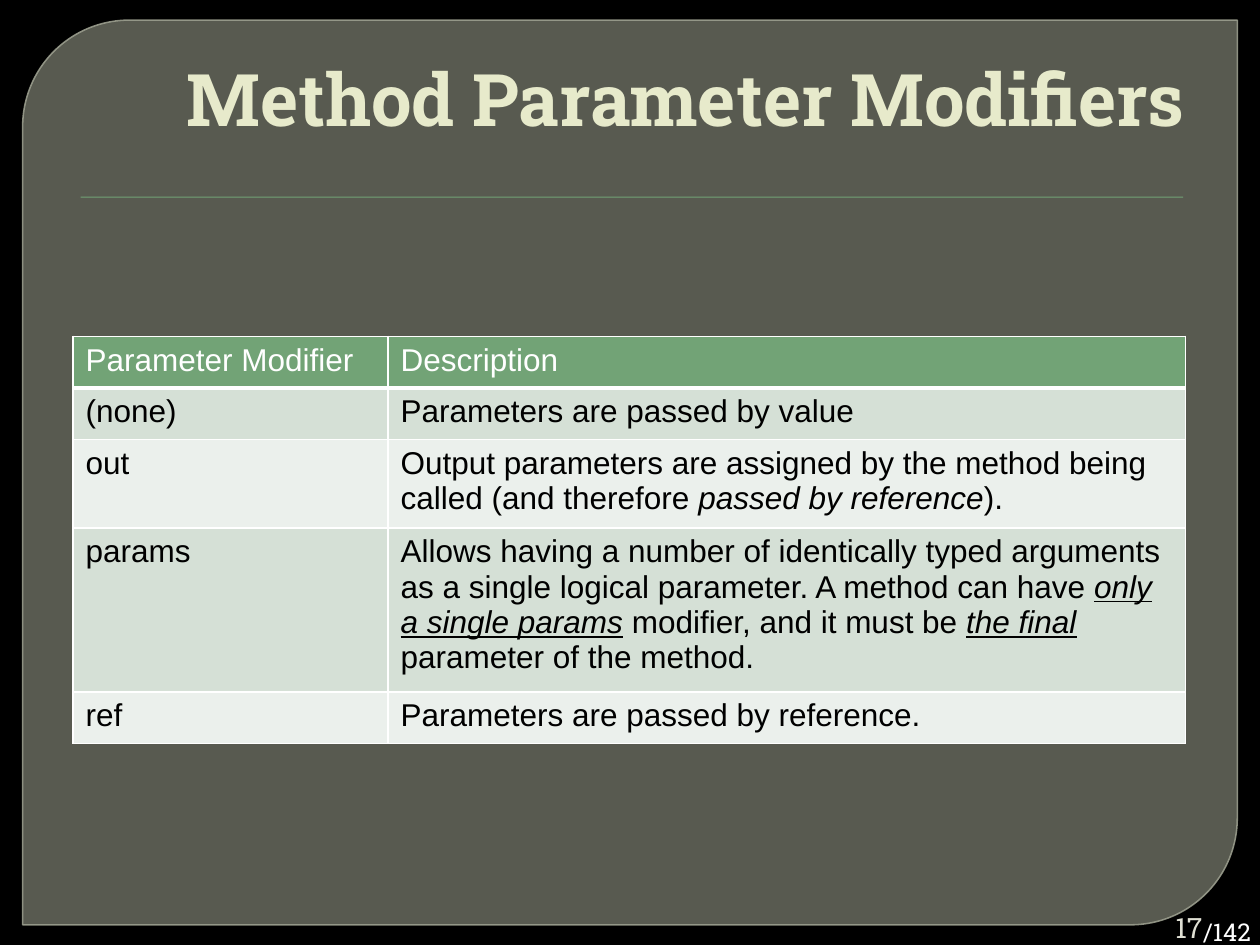
from lxml.etree import SubElement
from pptx import Presentation
from pptx.dml.color import RGBColor
from pptx.enum.shapes import MSO_SHAPE
from pptx.enum.text import MSO_ANCHOR, PP_ALIGN
from pptx.oxml.ns import qn
from pptx.util import Inches, Pt

SLAB = "Roboto Slab"
HEADER_FILL = "72A376"
BAND_FILLS = ["D5E0D6", "EBF0EC"]
COLUMN_WIDTHS = [2.5, 6.33]
ROW_HEIGHT = 0.41
ROWS = [
    ("Parameter Modifier", [("Description", "")]),
    ("(none)", [("Parameters are passed by value", "")]),
    ("out", [
        ("Output parameters are assigned by the method being called (and therefore ", ""),
        ("passed by reference", "i"),
        (").", ""),
    ]),
    ("params", [
        ("Allows having a number of identically typed arguments as a single logical "
         "parameter. A method can have ", ""),
        ("only a single params", "iu"),
        (" modifier, and it must be ", ""),
        ("the final ", "iu"),
        ("parameter of the method.", ""),
    ]),
    ("ref", [("Parameters are passed by reference.", "")]),
]


def color(value):
    return RGBColor.from_string(value)


def add_span(para, text, size=18, font="Arial", fill="000000", bold=False, style=""):
    span = para.add_run()
    span.text = text
    span.font.size = Pt(size)
    span.font.name = font
    span.font.color.rgb = color(fill)
    span.font.bold = bold
    span.font.italic = "i" in style
    span.font.underline = "u" in style


def add_text(page, text, place, align=PP_ALIGN.LEFT, anchor=MSO_ANCHOR.TOP, wrap=True, **format):
    box = page.shapes.add_textbox(*map(Inches, place))
    frame = box.text_frame
    frame.word_wrap = wrap
    frame.vertical_anchor = anchor
    para = frame.paragraphs[0]
    para.alignment = align
    add_span(para, text, **format)


def set_alpha(fill_parent, percent):
    tone = fill_parent.find(qn("a:solidFill")).find(qn("a:srgbClr"))
    SubElement(tone, qn("a:alpha"), val=str(percent * 1000))


def add_panel(page):
    panel = page.shapes.add_shape(
        MSO_SHAPE.ROUND_2_DIAG_RECTANGLE, *map(Inches, (0.18, 0.16, 9.64, 7.18)))
    panel.adjustments[0] = 0.118
    panel.adjustments[1] = 0
    panel.shadow.inherit = False
    panel.fill.solid()
    panel.fill.fore_color.rgb = color("888B7B")
    panel.line.color.rgb = color("9DA090")
    panel.line.width = Pt(0.87)
    properties = panel.element.spPr
    set_alpha(properties, 65)
    set_alpha(properties.find(qn("a:ln")), 88)


def add_rule(page):
    rule = page.shapes.add_shape(MSO_SHAPE.RECTANGLE, *map(Inches, (0.64, 1.56, 8.75, 0.01)))
    rule.shadow.inherit = False
    rule.fill.solid()
    rule.fill.fore_color.rgb = color(HEADER_FILL)
    rule.line.fill.background()
    effects = rule.element.spPr.find(qn("a:effectLst"))
    shadow = SubElement(effects, qn("a:outerShdw"), blurRad=str(Pt(1)), dist=str(Pt(1)),
                        dir="5400000", rotWithShape="0")
    tone = SubElement(shadow, qn("a:srgbClr"), val="000000")
    SubElement(tone, qn("a:alpha"), val="75000")


def style_cell(cell, fill, bottom_width):
    properties = cell._tc.get_or_add_tcPr()
    for side, width in (("L", 1), ("R", 1), ("T", 1), ("B", bottom_width)):
        border = SubElement(properties, qn(f"a:ln{side}"), w=str(Pt(width)))
        solid = SubElement(border, qn("a:solidFill"))
        SubElement(solid, qn("a:srgbClr"), val="FFFFFF")
    cell.fill.solid()
    cell.fill.fore_color.rgb = color(fill)


def add_modifier_table(page):
    place = (0.58, 2.67, sum(COLUMN_WIDTHS), ROW_HEIGHT * len(ROWS))
    table = page.shapes.add_table(len(ROWS), len(COLUMN_WIDTHS), *map(Inches, place)).table
    for column, width in zip(table.columns, COLUMN_WIDTHS):
        column.width = Inches(width)
    for index, (modifier, description) in enumerate(ROWS):
        header = index == 0
        fill = HEADER_FILL if header else BAND_FILLS[(index - 1) % 2]
        for cell, spans in zip(table.rows[index].cells, ([(modifier, "")], description)):
            style_cell(cell, fill, 3 if header else 1)
            for text, style in spans:
                add_span(cell.text_frame.paragraphs[0], text, style=style,
                         fill="FFFFFF" if header else "000000")


def main():
    deck = Presentation()
    deck.slide_width, deck.slide_height = Inches(10), Inches(7.5)
    page = deck.slides.add_slide(deck.slide_layouts[6])
    page.background.fill.solid()
    page.background.fill.fore_color.rgb = color("000000")
    add_panel(page)
    add_text(page, "/142", (9.45, 7.23, 0.61, 0.34), wrap=False,
             size=14, font=SLAB, fill="FFFFFF")
    add_rule(page)
    add_text(page, "Method Parameter Modifiers", (0.5, 0.28, 9, 0.89), align=PP_ALIGN.RIGHT,
             anchor=MSO_ANCHOR.BOTTOM, size=41.4, font=SLAB, fill="E7EACB", bold=True)
    add_modifier_table(page)
    add_text(page, "17", (8.83, 7.22, 0.81, 0.28), align=PP_ALIGN.RIGHT,
             anchor=MSO_ANCHOR.MIDDLE, size=16, font=SLAB, fill="E0E0D4")
    deck.save("out.pptx")


if __name__ == "__main__":
    main()
